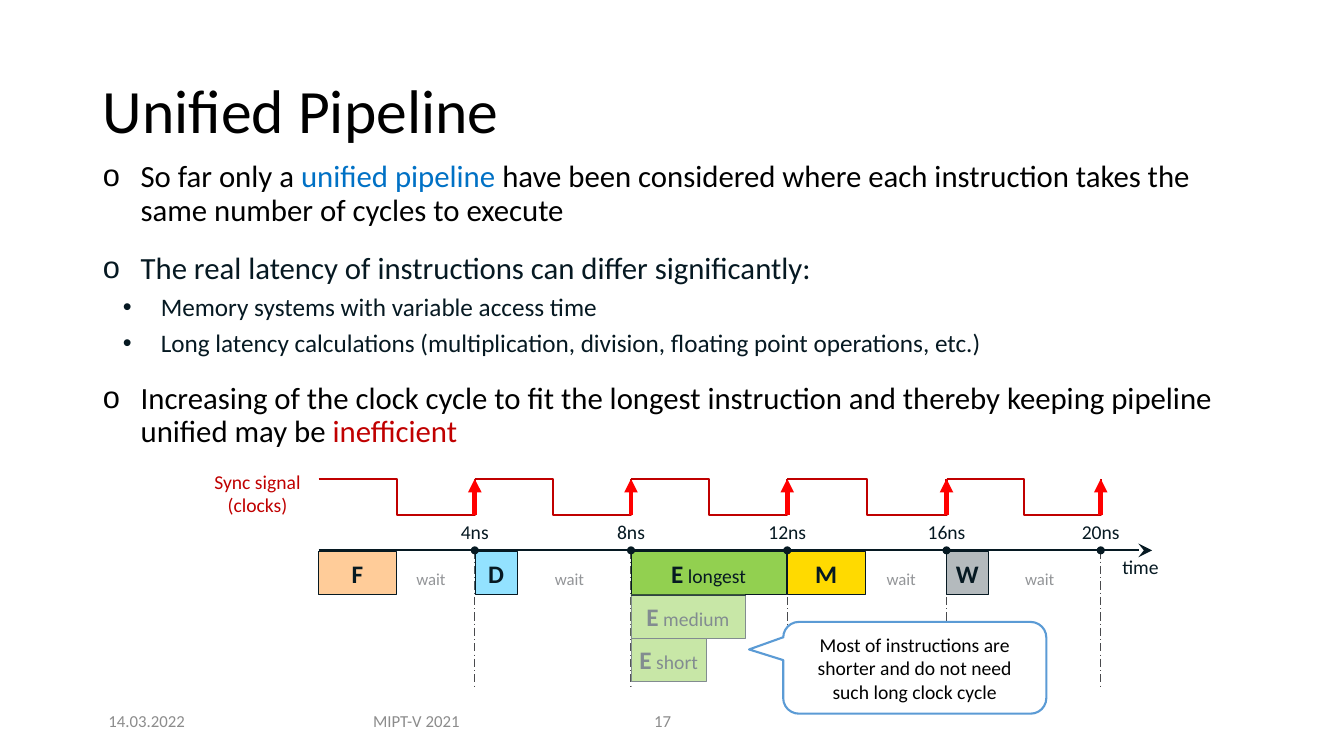
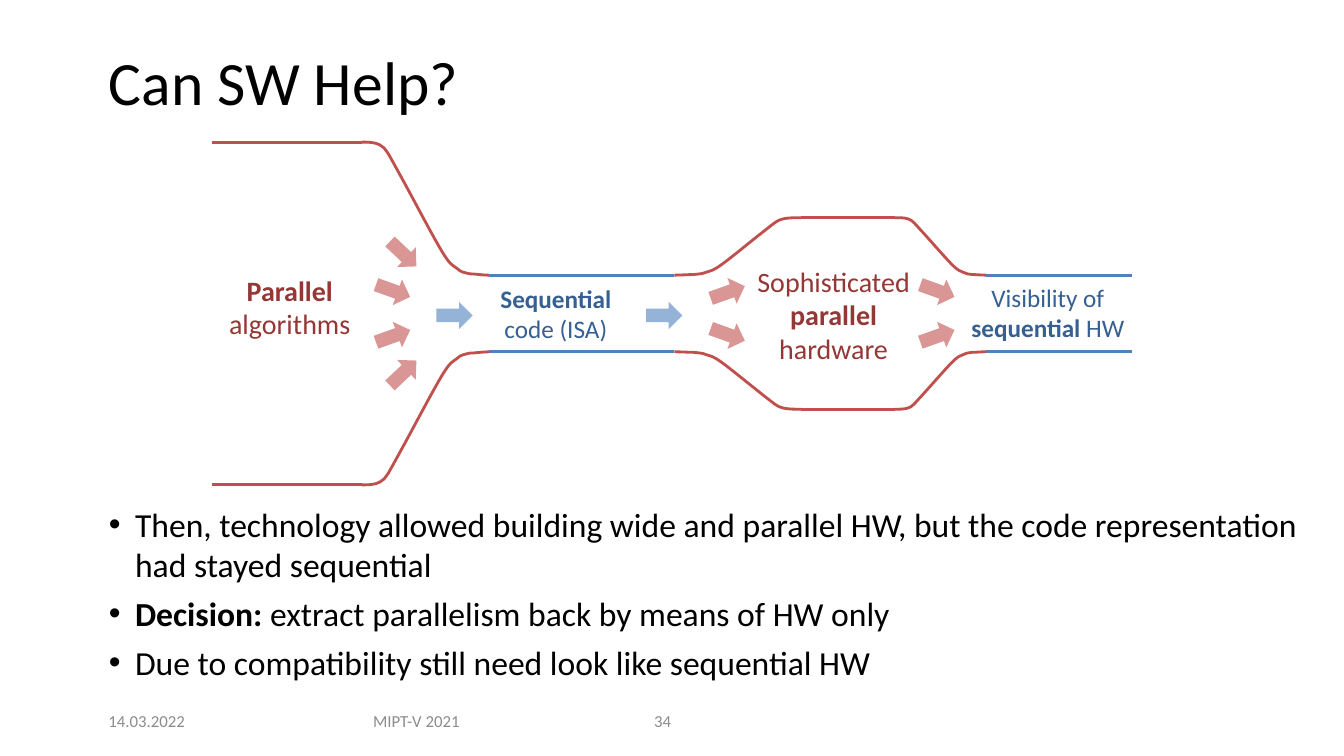
from dataclasses import dataclass
from typing import Any, Optional

import lxml.etree
import pptx
import pptx.dml.color
import pptx.enum.dml
import pptx.enum.shapes
import pptx.enum.text
import pptx.oxml.ns
import pptx.util

SHAPES = pptx.enum.shapes.MSO_SHAPE
ALIGN = pptx.enum.text.PP_ALIGN
ANCHOR = pptx.enum.text.MSO_ANCHOR
DASH = pptx.enum.dml.MSO_LINE.LONG_DASH_DOT
FONT = "Calibri"
COLORS = {
    "black": "000000", "white": "FFFFFF", "ink": "061922", "footer": "8C8C8C",
    "term": "0071C5", "signal": "C00000", "edge": "FF0000", "guide": "494A4D",
    "wait": "939598", "fetch": "FFCC99", "decode": "93E2FF", "execute": "92D050",
    "memory": "FFDA00", "write": "B4BABD", "callout": "5B9BD5",
    "parallel": "C0504D", "sequential": "4F81BD", "parallel text": "953735",
    "sequential text": "376092", "parallel arrow": "D99694", "sequential arrow": "95B3D7",
}

CELLS_PER_INCH = 10
SLIDE_COLUMNS, SLIDE_ROWS = 133.33, 75


@dataclass
class Box:
    column: float
    row: float
    columns: float
    rows: float

    def lengths(self) -> list[int]:
        return [cells(value) for value in (self.column, self.row, self.columns, self.rows)]


@dataclass
class Run:
    text: str
    color: Optional[str] = None
    bold: bool = False
    size: Optional[float] = None


@dataclass
class Line:
    runs: list[Run]
    size: float
    color: str = "black"
    align: Any = ALIGN.CENTER
    bullet: str = ""
    indent: float = 0
    hanging: float = 0
    level: int = 0
    before: float = 0
    spacing: float = 1


@dataclass
class Stage:
    cycle: int
    row: int
    columns: float
    letter: str
    color: str
    note: str = ""
    waits: bool = False


@dataclass
class Wall:
    start: float
    end: float
    start_half: float
    end_half: float
    color: str


@dataclass
class FlowArrow:
    column: float
    offset: float
    angle: float


def cells(value: float) -> int:
    return int(pptx.util.Inches(value / CELLS_PER_INCH))


def rgb(name: str) -> Any:
    return pptx.dml.color.RGBColor.from_string(COLORS[name])


def add_child(parent: Any, tag: str, **attributes: str) -> Any:
    return lxml.etree.SubElement(parent, pptx.oxml.ns.qn(tag), **attributes)


def write_lines(frame: Any, lines: list[Line], anchor: Any = ANCHOR.TOP, wrap: bool = True) -> None:
    frame.word_wrap = wrap
    frame.auto_size = pptx.enum.text.MSO_AUTO_SIZE.NONE
    frame.vertical_anchor = anchor
    for index, line in enumerate(lines):
        paragraph = frame.add_paragraph() if index else frame.paragraphs[0]
        if line.bullet:
            properties = paragraph._p.get_or_add_pPr()
            properties.set("marL", str(cells(line.indent)))
            properties.set("indent", str(-cells(line.hanging)))
            add_child(properties, "a:buChar", char=line.bullet)
        paragraph.level = line.level
        paragraph.alignment = line.align
        paragraph.line_spacing = line.spacing
        paragraph.space_before = pptx.util.Pt(line.before)
        paragraph.font.name = FONT
        paragraph.font.size = pptx.util.Pt(line.size)
        paragraph.font.color.rgb = rgb(line.color)
        for part in line.runs:
            run = paragraph.add_run()
            run.text = part.text
            if part.bold:
                run.font.bold = True
            if part.size:
                run.font.size = pptx.util.Pt(part.size)
            if part.color:
                run.font.color.rgb = rgb(part.color)


def add_label(slide: Any, box: Box, lines: list[Line], anchor: Any = ANCHOR.MIDDLE) -> None:
    write_lines(slide.shapes.add_textbox(*box.lengths()).text_frame, lines, anchor, wrap=False)


def add_block(slide: Any, kind: Any, box: Box, fill: str,
              line: Optional[str] = None, width: float = 0) -> Any:
    shape = slide.shapes.add_shape(kind, *box.lengths())
    shape.shadow.inherit = False
    shape.fill.solid()
    shape.fill.fore_color.rgb = rgb(fill)
    if line:
        shape.line.color.rgb = rgb(line)
        shape.line.width = pptx.util.Pt(width)
    else:
        shape.line.fill.background()
    return shape


def add_line(slide: Any, start: tuple[float, float], end: tuple[float, float], color: str,
             width: float, dash: Any = None, arrow: str = "", arrow_size: str = "med") -> None:
    ends = [cells(value) for value in (*start, *end)]
    connector = slide.shapes.add_connector(pptx.enum.shapes.MSO_CONNECTOR.STRAIGHT, *ends)
    connector.line.color.rgb = rgb(color)
    connector.line.width = pptx.util.Pt(width)
    if dash:
        connector.line.dash_style = dash
    properties = connector.element.spPr
    if arrow:
        add_child(properties.find(pptx.oxml.ns.qn("a:ln")), "a:tailEnd",
                  type=arrow, w=arrow_size, len=arrow_size)
    add_child(properties, "a:effectLst")


def add_outline(slide: Any, points: list[tuple[float, float]], color: str, width: float) -> Any:
    corners = [(cells(column), cells(row)) for column, row in points]
    builder = slide.shapes.build_freeform(*corners[0], scale=1.0)
    builder.add_line_segments(corners[1:], close=False)
    shape = builder.convert_to_shape()
    shape.shadow.inherit = False
    shape.fill.background()
    shape.line.color.rgb = rgb(color)
    shape.line.width = pptx.util.Pt(width)
    return shape


def bend_outline(shape: Any) -> None:
    segments = list(shape.element.spPr.iter(pptx.oxml.ns.qn("a:lnTo")))
    outline = segments[0].getparent()
    for first in range(0, len(segments), 3):
        curve = add_child(outline, "a:cubicBezTo")
        for segment in segments[first:first + 3]:
            curve.append(segment[0])
            outline.remove(segment)


def add_slide(presentation: Any, number: str, title: str, title_box: Box,
              body: list[Line], body_box: Box) -> Any:
    slide = presentation.slides.add_slide(presentation.slide_layouts[1])
    heading = Line([Run(title)], 44, align=ALIGN.LEFT, spacing=0.9)
    contents = ((slide.shapes.title, title_box, [heading], ANCHOR.MIDDLE),
                (slide.placeholders[1], body_box, body, ANCHOR.TOP))
    for placeholder, box, lines, anchor in contents:
        placeholder.left, placeholder.top, placeholder.width, placeholder.height = box.lengths()
        write_lines(placeholder.text_frame, lines, anchor)
    for text, column, columns, align in (("14.03.2022", 9.2, 10.7, ALIGN.CENTER),
                                         ("MIPT-V 2021", 33.4, 15.8, ALIGN.CENTER),
                                         (number, 63.9, 7.9, ALIGN.LEFT)):
        add_label(slide, Box(column, 69.5, columns, 4), [Line([Run(text)], 12, "footer", align)])
    return slide


TICKS = [31.6, 47.1, 62.6, 78.1, 93.9, 109.2]
TIME_ROW, STAGE_HEIGHT = 54.6, 4.3
CLOCK_HIGH, CLOCK_LOW = 47.5, 51.1
STAGES = [
    Stage(0, 0, 7.7, "F", "fetch", waits=True),
    Stage(1, 0, 4.2, "D", "decode", waits=True),
    Stage(2, 0, 15.4, "E", "execute", " longest"),
    Stage(3, 0, 7.7, "M", "memory", waits=True),
    Stage(4, 0, 4.1, "W", "write", waits=True),
    Stage(2, 1, 11.3, "E", "execute", " medium"),
    Stage(2, 2, 7.5, "E", "execute", " short"),
]


def add_stage(slide: Any, stage: Stage) -> None:
    left = TICKS[stage.cycle]
    right = left + stage.columns
    box = Box(left, TIME_ROW + 0.1 + stage.row * STAGE_HEIGHT, stage.columns, STAGE_HEIGHT)
    shape = add_block(slide, SHAPES.RECTANGLE, box, stage.color, "ink", 0.25)
    runs = [Run(stage.letter, bold=True)]
    if stage.note:
        runs.append(Run(stage.note, size=14))
    write_lines(shape.text_frame, [Line(runs, 18, "ink")], ANCHOR.MIDDLE, wrap=False)
    if stage.waits:
        gap = Box(right, 55.9, TICKS[stage.cycle + 1] - right - 0.9, 3)
        add_label(slide, gap, [Line([Run("wait")], 12, "wait")])


def build_pipeline(presentation: Any) -> None:
    topic = dict(size=22, align=ALIGN.LEFT, bullet="o", indent=3.75, hanging=3.75,
                 before=18, spacing=0.9)
    detail = dict(size=18, color="ink", align=ALIGN.LEFT, bullet="•", indent=5.75, hanging=3.75,
                  level=1, before=6, spacing=0.9)
    body = [
        Line([Run("So far only a "), Run("unified pipeline", "term"),
              Run(" have been considered where each instruction takes the same number of "
                  "cycles to execute")], **topic),
        Line([Run("The real latency of instructions can differ significantly:")],
             color="ink", **topic),
        Line([Run("Memory systems with variable access time")], **detail),
        Line([Run("Long latency calculations (multiplication, division, floating point "
                  "operations, etc.)")], **detail),
        Line([Run("Increasing of the clock cycle to fit the longest instruction and thereby "
                  "keeping pipeline unified may be "), Run("inefficient", "signal")], **topic),
    ]
    slide = add_slide(presentation, "17", "Unified Pipeline", Box(9.2, 4, 115, 14.5),
                      body, Box(9.2, 15.5, 115, 49.6))
    for column in TICKS[1:]:
        add_line(slide, (column, TIME_ROW), (column, 68.2), "guide", 0.75, DASH)
    for stage in STAGES:
        add_stage(slide, stage)
    veil = add_block(slide, SHAPES.RECTANGLE, Box(TICKS[2], 59.1, 13.3, 9.3), "white")
    add_child(veil.element.spPr.find(".//" + pptx.oxml.ns.qn("a:srgbClr")), "a:alpha", val="50000")
    callout = add_block(slide, SHAPES.ROUNDED_RECTANGULAR_CALLOUT, Box(77.7, 61.7, 26.1, 9.1),
                        "white", "callout", 1.5)
    for index, value in enumerate((-0.63, -0.2, 0.17)):
        callout.adjustments[index] = value
    write_lines(callout.text_frame, [Line([Run(
        "Most of instructions are shorter and do not need such long clock cycle")], 14)],
        ANCHOR.MIDDLE)
    add_label(slide, Box(20.2, 46.1, 10.7, 5.7),
              [Line([Run(text)], 14, "signal") for text in ("Sync signal", "(clocks)")])
    add_line(slide, (TICKS[0], TIME_ROW), (114.3, TIME_ROW), "ink", 1.5,
             arrow="stealth", arrow_size="lg")
    add_label(slide, Box(110.3, 54.5, 5.7, 3.4), [Line([Run("time")], 14, "ink")])
    for cycle, (start, end) in enumerate(zip(TICKS, TICKS[1:]), 1):
        middle = (start + end) / 2
        add_outline(slide, [(start, CLOCK_HIGH), (middle, CLOCK_HIGH), (middle, CLOCK_LOW),
                            (end, CLOCK_LOW), (end, CLOCK_HIGH)], "signal", 1.5)
        add_line(slide, (end, CLOCK_LOW), (end, CLOCK_HIGH), "edge", 3.25, arrow="triangle")
        add_block(slide, SHAPES.OVAL, Box(end - 0.4, TIME_ROW - 0.4, 0.8, 0.8), "ink")
        add_label(slide, Box(end - 2.9, 51, 5.8, 3.4),
                  [Line([Run(f"{4 * cycle}ns")], 14, "ink")])


FLOW_ROW = 31.1
WIDE, MEDIUM, NARROW = 17, 9.5, 3.8
WALLS = [
    Wall(21, 35.9, WIDE, WIDE, "parallel"),
    Wall(35.9, 48.5, WIDE, NARROW, "parallel"),
    Wall(48.5, 66.9, NARROW, NARROW, "sequential"),
    Wall(66.9, 79.5, NARROW, MEDIUM, "parallel"),
    Wall(79.5, 88.8, MEDIUM, MEDIUM, "parallel"),
    Wall(88.8, 97.8, MEDIUM, NARROW, "parallel"),
    Wall(97.8, 112.3, NARROW, NARROW, "sequential"),
]
BEND = [
    (0, 0), (0.05, 0), (0.1, 0), (0.14, 0.02), (0.17, 0.03), (0.18, 0.05), (0.21, 0.09),
    (0.24, 0.14), (0.32, 0.28), (0.32, 0.28), (0.39, 0.4), (0.56, 0.71), (0.63, 0.82),
    (0.7, 0.93), (0.71, 0.92), (0.75, 0.95), (0.78, 0.98), (0.81, 0.98), (0.85, 0.99),
    (0.89, 0.99), (0.95, 1), (1, 1),
]
PARALLEL_ARROWS = [FlowArrow(40, 5.9, 43.3), FlowArrow(39, 2.25, 19.7),
                   FlowArrow(72.2, 2.1, -19.7), FlowArrow(93, 2.25, 19.7)]
SEQUENTIAL_ARROWS = [45.1, 65.9]


def add_wall(slide: Any, wall: Wall, side: int) -> None:
    start = (wall.start, FLOW_ROW + side * wall.start_half)
    end = (wall.end, FLOW_ROW + side * wall.end_half)
    if wall.start_half == wall.end_half:
        add_line(slide, start, end, wall.color, 2)
        return
    if wall.start_half < wall.end_half:
        start, end = end, start
    points = [(start[0] + across * (end[0] - start[0]), start[1] + down * (end[1] - start[1]))
              for across, down in BEND]
    bend_outline(add_outline(slide, points, wall.color, 2))


def add_flow_arrow(slide: Any, arrow: FlowArrow, color: str) -> None:
    box = Box(arrow.column - 1.8, FLOW_ROW + arrow.offset - 1.35, 3.6, 2.7)
    add_block(slide, SHAPES.RIGHT_ARROW, box, color).rotation = arrow.angle


def build_software(presentation: Any) -> None:
    bullet = dict(size=24, align=ALIGN.LEFT, bullet="•", indent=2.6, hanging=2.6, before=6)
    body = [
        Line([Run("Then, technology allowed building wide and parallel HW, but the code "
                  "representation had stayed sequential")], **bullet),
        Line([Run("Decision:", bold=True),
              Run(" extract parallelism back by means of HW only")], **bullet),
        Line([Run("Due to compatibility still need look like sequential HW")], **bullet),
    ]
    slide = add_slide(presentation, "34", "Can SW Help?", Box(9.8, 3.9, 90.6, 9.1),
                      body, Box(9.8, 49.5, 120.1, 20.1))
    for wall in WALLS:
        for side in (-1, 1):
            add_wall(slide, wall, side)
    for arrow in PARALLEL_ARROWS:
        for side in (-1, 1):
            mirrored = FlowArrow(arrow.column, side * arrow.offset, -side * arrow.angle)
            add_flow_arrow(slide, mirrored, "parallel arrow")
    for column in SEQUENTIAL_ARROWS:
        add_flow_arrow(slide, FlowArrow(column, 0.2, 0), "sequential arrow")
    captions = [
        (Box(20.1, 26.6, 17.3, 7.7), 20, "parallel text",
         [[Run("Parallel", bold=True)], [Run("algorithms")]]),
        (Box(46.6, 27.6, 17.1, 7.1), 18, "sequential text",
         [[Run("Sequential", bold=True)], [Run("code (ISA)")]]),
        (Box(72.3, 25.7, 20.8, 11.1), 20, "parallel text",
         [[Run("Sophisticated")], [Run("parallel", bold=True)], [Run("hardware")]]),
        (Box(91.4, 27.5, 25.1, 7.1), 18, "sequential text",
         [[Run("Visibility of")], [Run("sequential", bold=True), Run(" HW")]]),
    ]
    for box, size, color, rows in captions:
        add_label(slide, box, [Line(runs, size, color) for runs in rows], ANCHOR.TOP)


def main() -> None:
    presentation = pptx.Presentation()
    presentation.slide_width = cells(SLIDE_COLUMNS)
    presentation.slide_height = cells(SLIDE_ROWS)
    build_pipeline(presentation)
    build_software(presentation)
    presentation.save("out.pptx")


if __name__ == "__main__":
    main()
